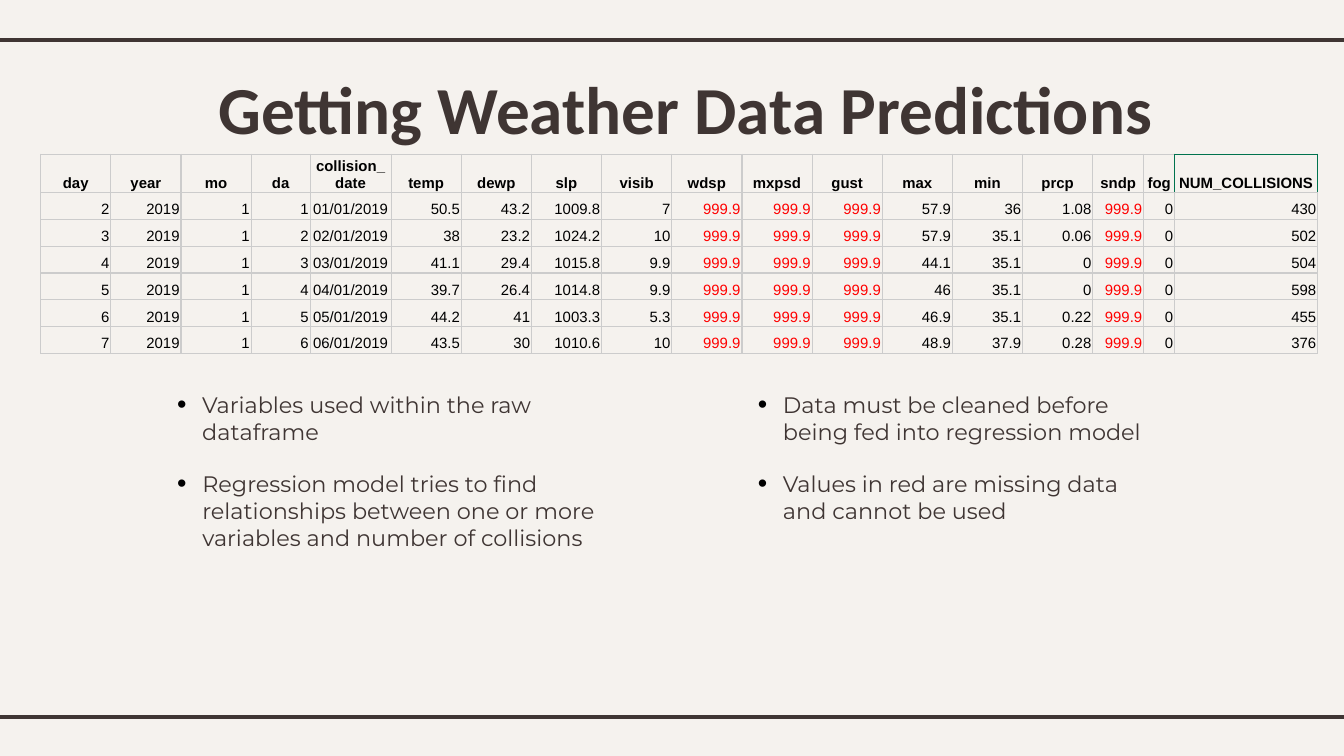
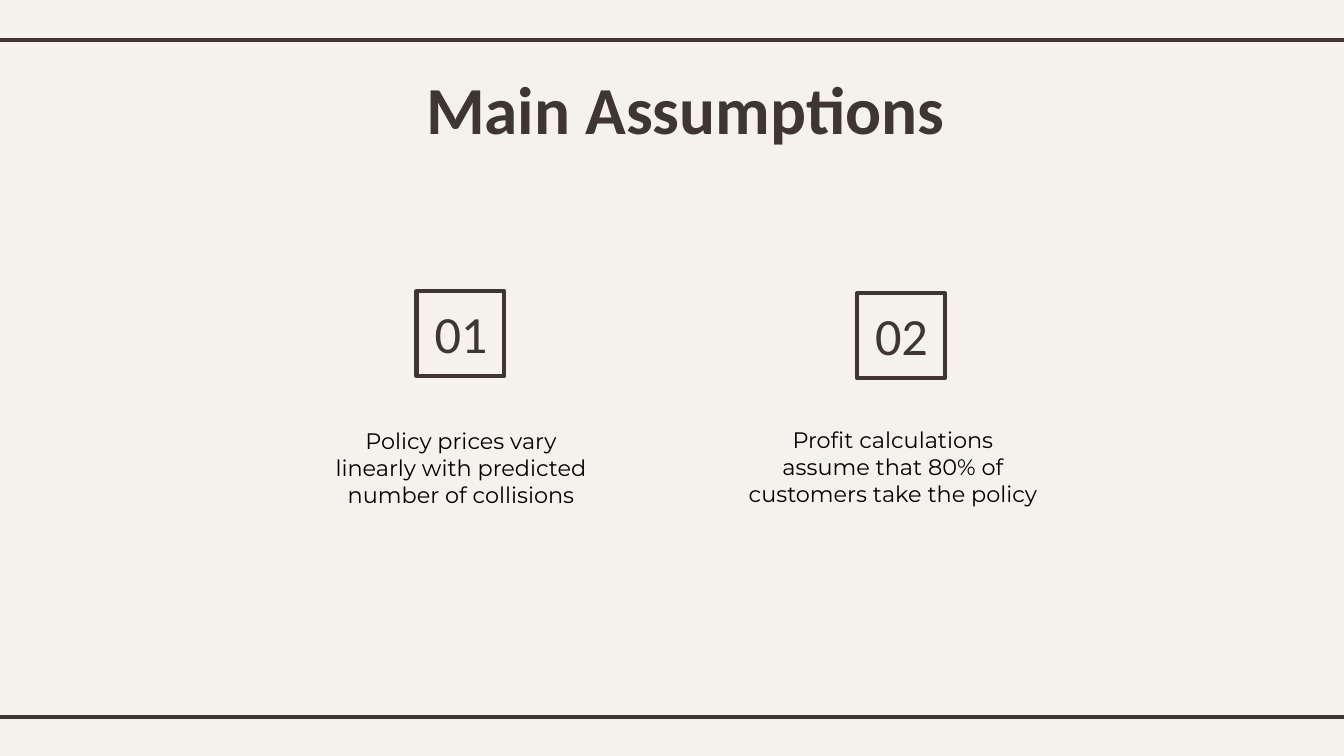
import pptx
import pptx.dml.color
import pptx.enum.shapes
import pptx.enum.text
import pptx.oxml.ns
import pptx.util
from lxml import etree

Pt = pptx.util.Pt
RGBColor = pptx.dml.color.RGBColor
ALIGN = pptx.enum.text.PP_ALIGN
ANCHOR = pptx.enum.text.MSO_ANCHOR
qn = pptx.oxml.ns.qn

# Colours
CREAM = RGBColor(0xF5, 0xF2, 0xEE)
BROWN = RGBColor(0x3F, 0x35, 0x33)
BLACK = RGBColor(0x00, 0x00, 0x00)
RED = RGBColor(0xFF, 0x00, 0x00)
GREY = RGBColor(0xCC, 0xCC, 0xCC)
GREEN = RGBColor(0x00, 0x73, 0x4E)

# Text formats
TITLE = {"name": "Calibri", "size": Pt(36), "bold": True}
BODY = {"name": "Montserrat", "size": Pt(12)}
NUMBER = {"name": "Calibri", "size": Pt(28)}
HEADER = {"name": "Arial", "size": Pt(8), "bold": True}
VALUE = {"name": "Arial", "size": Pt(8), "bold": False}


def write(tf, text, font, color, align):
    p = tf.paragraphs[0]
    p.alignment = align
    r = p.add_run()
    r.text = text
    for key, value in font.items():
        setattr(r.font, key, value)
    r.font.color.rgb = color
    return p


def add_text(shapes, box, text, font, color, align=ALIGN.CENTER, anchor=ANCHOR.TOP):
    tf = shapes.add_textbox(*[Pt(v) for v in box]).text_frame
    margins = {f"margin_{side}": Pt(7.2) for side in ("left", "top", "right", "bottom")}
    for key, value in {"word_wrap": True, "vertical_anchor": anchor, **margins}.items():
        setattr(tf, key, value)
    return write(tf, text, font, color, align)


prs = pptx.Presentation()
prs.slide_width, prs.slide_height = Pt(720), Pt(405)

# Shared background, rules and titles
fill = prs.slide_master.background.fill
fill.solid()
fill.fore_color.rgb = CREAM

slides = []
for title in ("Getting Weather Data Predictions", "Main Assumptions"):
    s = prs.slides.add_slide(prs.slide_layouts[6])
    for y in (21.5, 384):
        rule = s.shapes.add_connector(
            pptx.enum.shapes.MSO_CONNECTOR.STRAIGHT, Pt(-6), Pt(y), Pt(726), Pt(y))
        rule.line.color.rgb = BROWN
        rule.line.width = Pt(2.25)
        etree.SubElement(rule._element.spPr, qn("a:effectLst"))
    add_text(s.shapes, (70.6, 28.8, 593.3, 53.3), title, TITLE, BROWN)
    slides.append(s)
weather, assumptions = slides

# Weather table
MISSING = "999.9"
columns = [
    ("day", 37.6), ("year", 37.6), ("mo", 37.6), ("da", 31.6), ("collision_date", 43.4),
    ("temp", 37.6), ("dewp", 37.6), ("slp", 37.6), ("visib", 37.6), ("wdsp", 37.6),
    ("mxpsd", 37.6), ("gust", 37.6), ("max", 37.6), ("min", 37.6), ("prcp", 37.6),
    ("sndp", 27.3), ("fog", 16.6), ("NUM_COLLISIONS", 76.6),
]
# temp, dewp, slp, visib, max, min, prcp, collisions
readings = [
    ("50.5", "43.2", "1009.8", "7", "57.9", "36", "1.08", "430"),
    ("38", "23.2", "1024.2", "10", "57.9", "35.1", "0.06", "502"),
    ("41.1", "29.4", "1015.8", "9.9", "44.1", "35.1", "0", "504"),
    ("39.7", "26.4", "1014.8", "9.9", "46", "35.1", "0", "598"),
    ("44.2", "41", "1003.3", "5.3", "46.9", "35.1", "0.22", "455"),
    ("43.5", "30", "1010.6", "10", "48.9", "37.9", "0.28", "376"),
]
rows = [[name for name, width in columns]]
for day, reading in enumerate(readings, 1):
    rows.append([str(day + 1), "2019", "1", str(day), f"{day:02}/01/2019", *reading[:4],
                 *[MISSING] * 3, *reading[4:7], MISSING, "0", reading[7]])

table = weather.shapes.add_table(
    len(rows), len(columns), Pt(21.8), Pt(82.6), Pt(684.3), Pt(103.6)).table
table.first_row = table.horz_banding = False
for col, (name, width) in zip(table.columns, columns):
    col.width = Pt(width)
for i, row in enumerate(table.rows):
    row.height = Pt(17.5 if i == 0 else 14.35)

last = len(columns) - 1
green_edges = {(0, last - 1): "R", (0, last): "LRT"}
for i, row in enumerate(rows):
    for j, text in enumerate(row):
        cell = table.cell(i, j)
        cell.vertical_anchor = ANCHOR.BOTTOM
        for side in ("left", "top", "right", "bottom"):
            setattr(cell, f"margin_{side}", Pt(0.75))
        centred = i == 0 or columns[j][0] == "collision_date"
        write(cell.text_frame, text, HEADER if i == 0 else VALUE,
              RED if text == MISSING else BLACK, ALIGN.CENTER if centred else ALIGN.RIGHT)
        tcPr = cell._tc.get_or_add_tcPr()
        for edge in "LRTB":
            color = GREEN if edge in green_edges.get((i, j), "") else GREY
            ln = etree.SubElement(tcPr, qn(f"a:ln{edge}"), w=str(Pt(0.75)))
            solid = etree.SubElement(ln, qn("a:solidFill"))
            etree.SubElement(solid, qn("a:srgbClr"), val=str(color))
        cell.fill.background()

# Bulleted remarks below the table
remarks = [
    (87.8, 202.3, 232.6, 30.2, "Variables used within the raw dataframe"),
    (87.8, 244.6, 241.2, 54, "Regression model tries to find relationships between "
                             "one or more variables and number of collisions"),
    (398.9, 202.3, 232.6, 41.8, "Data must be cleaned before being fed into regression model"),
    (398.9, 244.6, 232.6, 41.8, "Values in red are missing data and cannot be used"),
]
for *box, text in remarks:
    p = add_text(weather.shapes, box, text, BODY, BROWN, ALIGN.LEFT)
    pPr = p._p.get_or_add_pPr()
    pPr.set("marL", str(Pt(13.5)))
    pPr.set("indent", str(Pt(-13.5)))
    bullet_color = etree.SubElement(pPr, qn("a:buClr"))
    etree.SubElement(bullet_color, qn("a:srgbClr"), val=str(BLACK))
    etree.SubElement(pPr, qn("a:buSzPct"), val="120000")
    etree.SubElement(pPr, qn("a:buFont"), typeface="Arial")
    etree.SubElement(pPr, qn("a:buChar"), char="•")

# Numbered assumptions
items = [
    ("01", 223.2, 156, (172.1, 221.8, 149.8, 57.6),
     "Policy prices vary linearly with predicted number of collisions"),
    ("02", 459.2, 157, (393.1, 221, 170.6, 57.6),
     "Profit calculations assume that 80% of customers take the policy"),
]
for number, x, y, box, text in items:
    add_text(assumptions.shapes, box, text, BODY, BLACK)
    badge = assumptions.shapes.add_group_shape().shapes
    sp = badge.add_shape(pptx.enum.shapes.MSO_SHAPE.RECTANGLE, Pt(x), Pt(y), Pt(47), Pt(45.5))
    sp.shadow.inherit = False
    sp.fill.solid()
    sp.fill.fore_color.rgb = CREAM
    sp.line.color.rgb = BROWN
    sp.line.width = Pt(2.25)
    add_text(badge, (x - 1.8, y + 6.2, 51.1, 32.4), number, NUMBER, BROWN, anchor=ANCHOR.MIDDLE)

prs.save("out.pptx")
